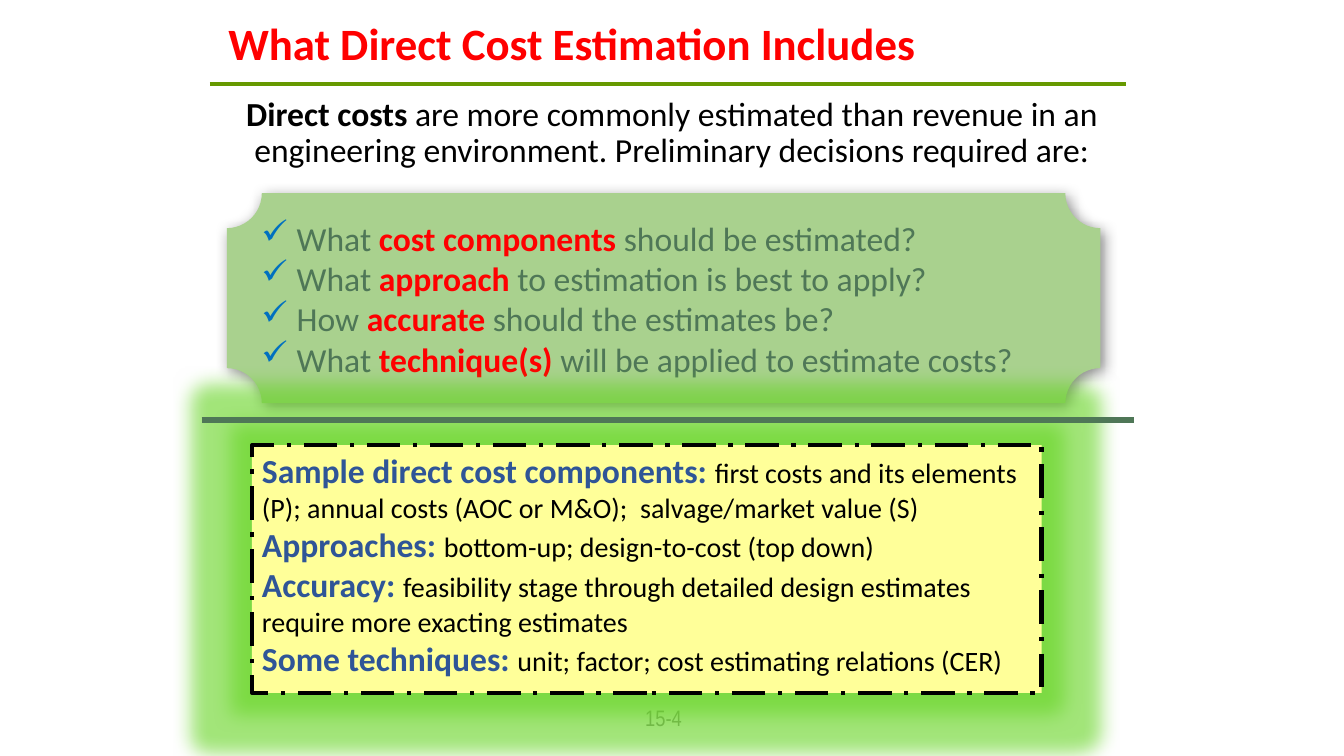
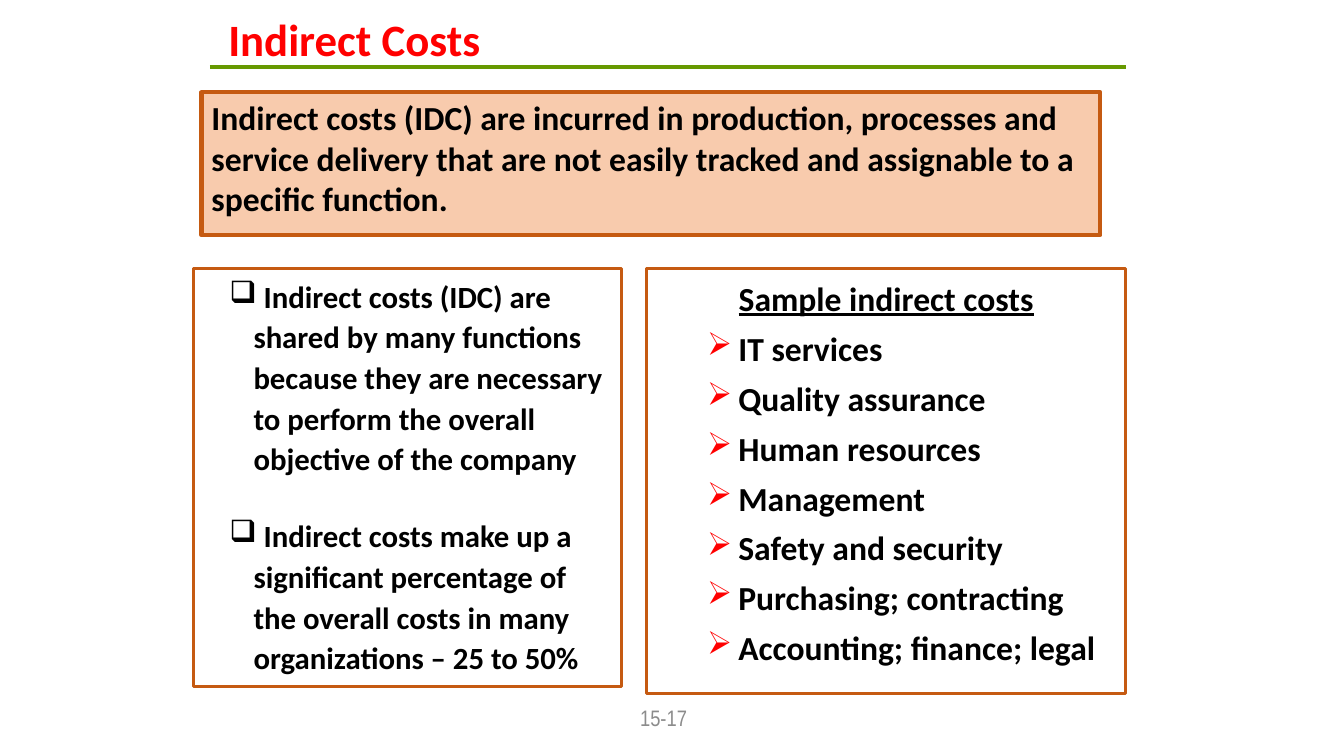
from lxml.etree import SubElement
from pptx import Presentation
from pptx.dml.color import RGBColor as RGB
from pptx.enum.dml import MSO_LINE
from pptx.enum.shapes import MSO_CONNECTOR, MSO_SHAPE
from pptx.enum.text import MSO_ANCHOR as ANCHOR, MSO_AUTO_SIZE as FIT, PP_ALIGN as ALIGN
from pptx.oxml.ns import qn
from pptx.util import Inches, Pt

COLS, ROWS = 160, 90
CELL = 1 / 12

BLACK = RGB(0x00, 0x00, 0x00)
RED = RGB(0xFF, 0x00, 0x00)
GRAY = RGB(0x8C, 0x8C, 0x8C)
BLUE = RGB(0x00, 0x70, 0xC0)
NAVY = RGB(0x2F, 0x55, 0x97)
PINE = RGB(0x4F, 0x77, 0x57)
RULE = RGB(0x66, 0x99, 0x00)
SAGE = RGB(0xA9, 0xD1, 0x8E)
GLOW = RGB(0x64, 0xD4, 0x21)
YELLOW = RGB(0xFF, 0xFF, 0x99)
PEACH = RGB(0xF8, 0xCB, 0xAD)
RUST = RGB(0xC5, 0x5A, 0x11)


def style(size, color=BLACK, bold=False, **extra):
    return dict(name="Calibri", size=Pt(size), color=color, bold=bold) | extra


TITLE = style(32, RED, True)
NUMBER = style(16, GRAY, name="Arial Narrow")
BODY = style(24)
STRONG = style(24, bold=True)
QUESTION = style(24, PINE)
KEYWORD = style(24, RED, True)
LABEL = style(24, NAVY, True)
DETAIL = style(20)
POINT = style(22, bold=True)
HEADING = style(24, bold=True, underline=True)

QUESTIONS = [
    ("What ", "cost components ", "should be estimated?"),
    ("What ", "approach", " to estimation is best to apply?"),
    ("How ", "accurate", " should the estimates be?"),
    ("What ", "technique(s)", " will be applied to estimate costs?"),
]
ANSWERS = [
    ("Sample direct cost components: ",
     "first costs and its elements (P); annual costs (AOC or M&O);  salvage/market value (S)"),
    ("Approaches: ", "bottom-up; design-to-cost (top down)"),
    ("Accuracy: ",
     "feasibility stage through detailed design estimates require more exacting estimates"),
    ("Some techniques: ", "unit; factor; cost estimating relations (CER)"),
]
DEFINITION = ("Indirect costs (IDC) are incurred in production, processes and service delivery "
              "that are not easily tracked and assignable to a specific function.")
POINTS = [
    " Indirect costs (IDC) are shared by many functions because they are necessary "
    "to perform the overall objective of the company",
    " Indirect costs make up a significant percentage of the overall costs "
    "in many organizations – 25 to 50%",
]
SAMPLES = ["IT services", "Quality assurance", "Human resources", "Management",
           "Safety and security", "Purchasing; contracting", "Accounting; finance; legal"]


def grid(*cells):
    return [Inches(c * CELL) for c in cells]


def add_bullet(p, char, left, hang, color=None, percent=None):
    pPr = p._p.get_or_add_pPr()
    pPr.set("marL", str(Inches(left)))
    pPr.set("indent", str(-Inches(hang)))
    if color is not None:
        SubElement(SubElement(pPr, qn("a:buClr")), qn("a:srgbClr"), val=str(color))
    if percent:
        SubElement(pPr, qn("a:buSzPct"), val=str(percent * 1000))
    SubElement(pPr, qn("a:buChar"), char=char)


def para(*runs, bullet=None, **fmt):
    return runs, bullet, fmt


def write(sp, paras, anchor=ANCHOR.TOP, fit=FIT.NONE):
    tf = sp.text_frame
    tf.word_wrap, tf.vertical_anchor, tf.auto_size = True, anchor, fit
    for i, (runs, bullet, fmt) in enumerate(paras):
        p = tf.add_paragraph() if i else tf.paragraphs[0]
        if bullet:
            add_bullet(p, **bullet)
        for key, value in ({"alignment": ALIGN.LEFT} | fmt).items():
            setattr(p, key, value)
        for text, font in runs:
            r = p.add_run()
            r.text = text
            for key, value in font.items():
                if key == "color":
                    r.font.color.rgb = value
                else:
                    setattr(r.font, key, value)


def add_text(s, cells, paras, **frame):
    write(s.shapes.add_textbox(*grid(*cells)), paras, **frame)


def add_box(s, cells, paras, fill=None, line=None, weight=3, kind=MSO_SHAPE.RECTANGLE, **frame):
    sp = s.shapes.add_shape(kind, *grid(*cells))
    sp.shadow.inherit = False
    if fill is None:
        sp.fill.background()
    else:
        sp.fill.solid()
        sp.fill.fore_color.rgb = fill
    if line is None:
        sp.line.fill.background()
    else:
        sp.line.color.rgb = line
        sp.line.width = Pt(weight)
    write(sp, paras, **frame)
    return sp


def add_effect(sp, tag, color, alpha, **attrs):
    effects = sp._element.spPr.find(qn("a:effectLst"))
    effect = SubElement(effects, qn(tag), {k: str(v) for k, v in attrs.items()})
    clr = SubElement(effect, qn("a:srgbClr"), val=str(color))
    SubElement(clr, qn("a:alpha"), val=str(alpha * 1000))


def add_line(s, left, right, row, color, weight):
    ends = grid(left, row, right, row)
    ln = s.shapes.add_connector(MSO_CONNECTOR.STRAIGHT, *ends)
    ln.line.color.rgb = color
    ln.line.width = Pt(weight)
    SubElement(ln._element.spPr, qn("a:effectLst"))


def add_slide(prs, title, number, title_rows, rule_row):
    s = prs.slides.add_slide(prs.slide_layouts[6])
    add_text(s, (26, 1, 108, title_rows), [para((title, TITLE), line_spacing=0.9)],
             anchor=ANCHOR.MIDDLE)
    add_text(s, (73, 83, 12, 4.8), [para((number, NUMBER), alignment=ALIGN.CENTER)],
             anchor=ANCHOR.MIDDLE)
    add_line(s, 25, 134, rule_row, RULE, 3)
    return s


def direct_costs(prs):
    s = add_slide(prs, "What Direct Cost Estimation Includes", "15-4", 9, 10)
    add_text(s, (26, 11, 108, 12), [para(
        ("Direct costs ", STRONG),
        ("are more commonly estimated than revenue in an engineering environment. "
         "Preliminary decisions required are:", BODY),
        alignment=ALIGN.CENTER, line_spacing=0.9)])

    check = dict(char="✓", left=0.35, hang=0.35, color=BLUE)
    fonts = (QUESTION, KEYWORD, QUESTION)
    plaque = add_box(s, (27, 23, 104, 25),
                     [para(*zip(q, fonts), bullet=check) for q in QUESTIONS],
                     fill=SAGE, kind=MSO_SHAPE.PLAQUE, anchor=ANCHOR.MIDDLE)
    add_effect(plaque, "a:outerShdw", BLACK, 45, blurRad=Pt(10), dist=Pt(3), dir=45 * 60000)

    answers = add_box(s, (30, 53, 94, 29.5),
                      [para(*zip(a, (LABEL, DETAIL))) for a in ANSWERS],
                      fill=YELLOW, line=BLACK, fit=FIT.SHAPE_TO_FIT_TEXT)
    answers.line.dash_style = MSO_LINE.LONG_DASH_DOT
    add_effect(answers, "a:glow", GLOW, 60, rad=Pt(28))
    add_line(s, 24, 135, 50, PINE, 4.5)


def indirect_costs(prs):
    s = add_slide(prs, "Indirect Costs", "15-17", 8, 8)
    add_box(s, (24, 11, 107, 17), [para((DEFINITION, STRONG))], fill=PEACH, line=RUST)

    panel = dict(line=RUST, weight=2.25, fit=FIT.SHAPE_TO_FIT_TEXT)
    square = dict(char="❑", left=0.5, hang=0.24)
    add_box(s, (23, 32, 51, 49.7),
            [para((text, POINT), bullet=square, line_spacing=1.1, space_before=Pt(26 * i))
             for i, text in enumerate(POINTS)], **panel)

    arrow = dict(char="➢", left=0.81, hang=0.31, color=RED, percent=95)
    heading = para(("Sample indirect costs", HEADING), alignment=ALIGN.CENTER, line_spacing=1.1)
    items = [para((text, STRONG), bullet=arrow, level=1, line_spacing=1.1, space_before=Pt(4))
             for text in SAMPLES]
    add_box(s, (77, 32, 57, 50.6), [heading, *items], **panel)


def main():
    prs = Presentation()
    prs.slide_width, prs.slide_height = grid(COLS, ROWS)
    direct_costs(prs)
    indirect_costs(prs)
    prs.save("out.pptx")


if __name__ == "__main__":
    main()
